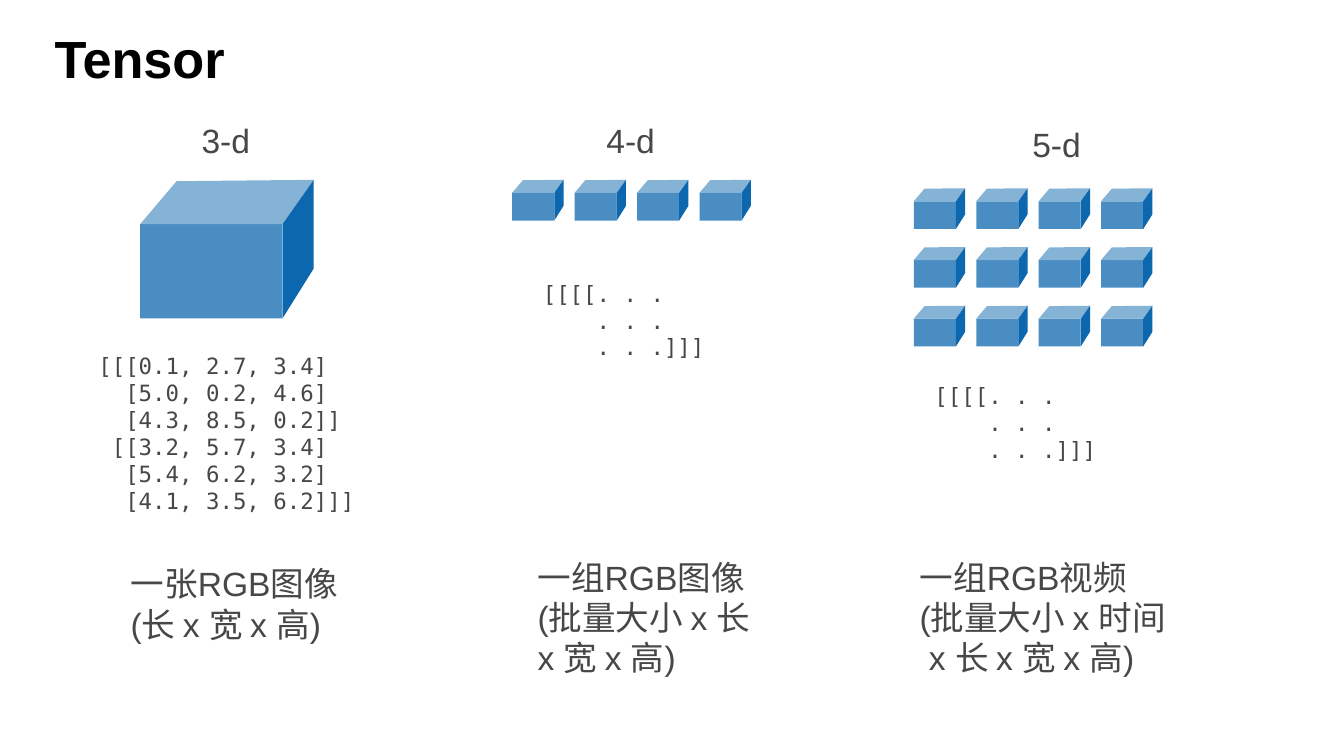
import pptx
import pptx.dml.color
import pptx.enum.shapes
import pptx.enum.text
import pptx.util

Cm = pptx.util.Cm
theme = {
    "black": "000000", "grey": "474746",
    "front": "498DC2", "top": "85B3D6", "side": "0C67AE",
    "head": {"name": "Arial", "size": pptx.util.Pt(28), "bold": True},
    "body": {"name": "Arial", "size": pptx.util.Pt(18)},
    "code": {"name": "DejaVu Sans Mono", "size": pptx.util.Pt(12)},
}


def write(box, lines, style, color, wrap, anchor, fit):
    frame = box.text_frame
    frame.text = "\n".join(lines)
    form = {"word_wrap": wrap, "vertical_anchor": anchor, "auto_size": fit}
    for side in ("left", "right", "top", "bottom"):
        form["margin_" + side] = Cm(0.13)
    for key, value in form.items():
        setattr(frame, key, value)
    for para in frame.paragraphs:
        para.alignment = pptx.enum.text.PP_ALIGN.LEFT
        for key, value in theme[style].items():
            setattr(para.font, key, value)
        para.font.color.rgb = pptx.dml.color.RGBColor.from_string(theme[color])


def cube(group, left, top, wide, high):
    def spot(across, down):
        return Cm(left + across * wide), Cm(top + down * high)

    x, y = spot(0, 0.32)
    kind = pptx.enum.shapes.MSO_SHAPE.RECTANGLE
    front = group.shapes.add_shape(kind, x, y, Cm(0.82 * wide), Cm(0.68 * high))
    faces = {"front": front}
    for name, points in {
        "top": [(0, 0.32), (0.82, 0.32), (1, 0), (0.21, 0.01)],
        "side": [(1, 0), (0.82, 0.32), (0.82, 1), (1, 0.64)],
    }.items():
        path = group.shapes.build_freeform(*spot(*points[0]))
        path.add_line_segments([spot(*point) for point in points[1:]])
        faces[name] = path.convert_to_shape()
    for name, face in faces.items():
        face.shadow.inherit = False
        face.fill.solid()
        face.fill.fore_color.rgb = pptx.dml.color.RGBColor.from_string(theme[name])
        face.line.fill.background()


deck = pptx.Presentation()
deck.slide_width, deck.slide_height = Cm(25.4), Cm(14.29)
slide = deck.slides.add_slide(deck.slide_layouts[5])
place = {"left": Cm(0.9), "top": Cm(0.33), "width": Cm(22.78), "height": Cm(1.52)}
for key, value in place.items():
    setattr(slide.shapes.title, key, value)
write(slide.shapes.title, ["Tensor"], "head", "black", True,
      pptx.enum.text.MSO_ANCHOR.MIDDLE, pptx.enum.text.MSO_AUTO_SIZE.NONE)

dots = ["[[[[. . .", "    . . .", "    . . .]]]"]
parts = [
    {
        "cubes": (2.65, 3.4, 3.28, 2.62, 1, 1),
        "texts": [
            (["3-d"], "body", (3.68, 2.13, 1.22, 0.97), False),
            (["[[[0.1, 2.7, 3.4]", "  [5.0, 0.2, 4.6]", "  [4.3, 8.5, 0.2]]",
              " [[3.2, 5.7, 3.4]", "  [5.4, 6.2, 3.2]", "  [4.1, 3.5, 6.2]]]"],
             "code", (1.73, 6.53, 5.11, 3.61), False),
            (["一张RGB图像", "(长 x 宽 x 高)"], "body", (2.34, 10.52, 4.5, 1.8), True),
        ],
    },
    {
        "cubes": (9.68, 3.4, 0.97, 0.77, 1, 4),
        "texts": [
            (["4-d"], "body", (11.33, 2.13, 1.22, 0.97), False),
            (dots, "code", (10.13, 5.16, 3.58, 1.9), False),
            (["一组RGB图像", "(批量大小 x 长 x 宽 x 高)"], "body",
             (10.03, 10.39, 4.5, 2.57), True),
        ],
    },
    {
        "cubes": (17.27, 3.56, 0.97, 0.77, 3, 4),
        "texts": [
            (["5-d"], "body", (19.38, 2.21, 1.22, 0.97), False),
            (dots, "code", (17.53, 7.09, 3.58, 1.9), False),
            (["一组RGB视频", "(批量大小 x 时间", " x 长 x 宽 x 高)"], "body",
             (17.25, 10.39, 6.32, 2.57), True),
        ],
    },
]

for part in parts:
    left, top, wide, high, rows, cols = part["cubes"]
    group = slide.shapes.add_group_shape()
    for row in range(rows):
        for col in range(cols):
            cube(group, left + col * 1.18, top + row * 1.11, wide, high)
    for lines, style, area, wrap in part["texts"]:
        box = slide.shapes.add_textbox(*map(Cm, area))
        write(box, lines, style, "grey", wrap, pptx.enum.text.MSO_ANCHOR.TOP,
              pptx.enum.text.MSO_AUTO_SIZE.SHAPE_TO_FIT_TEXT)

deck.save("out.pptx")
